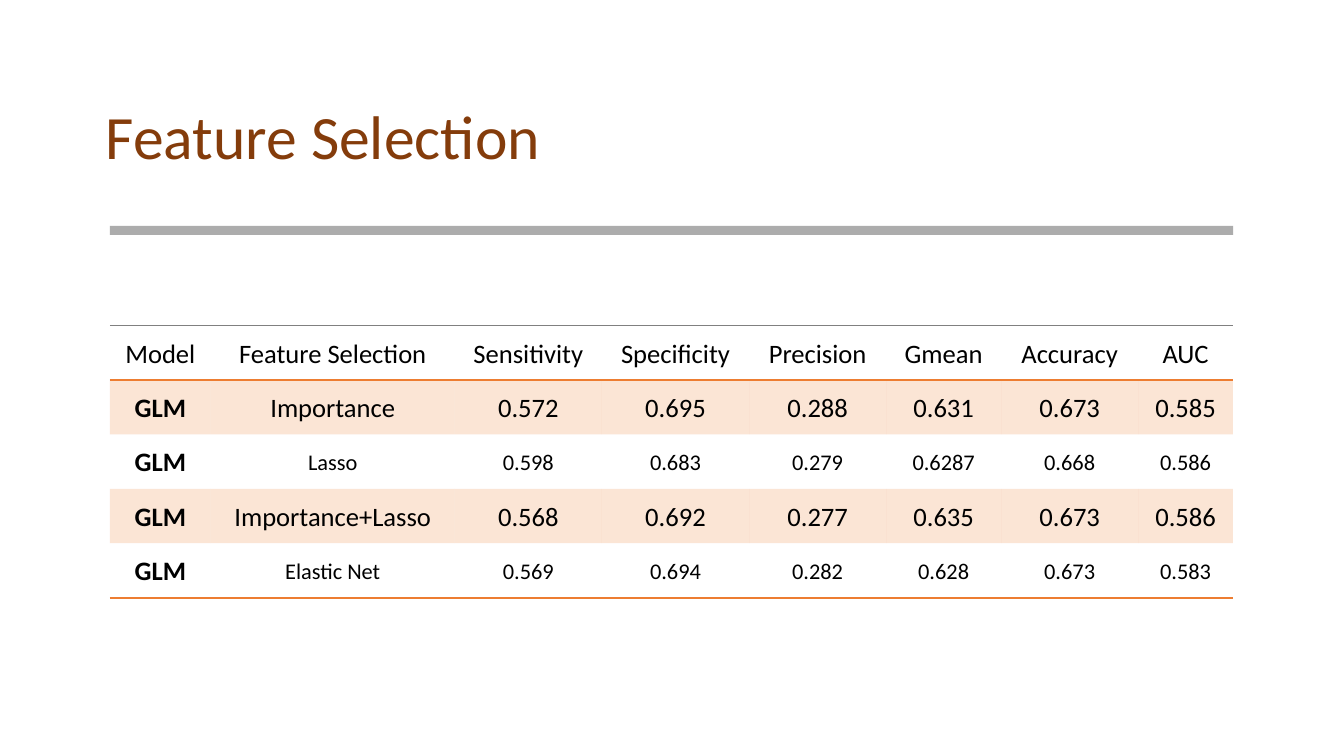
from lxml import etree
from pptx import Presentation
from pptx.dml.color import RGBColor
from pptx.enum import shapes, text
from pptx.oxml import ns
from pptx.util import Inches, Pt

TITLE = "Feature Selection"
ROWS = [
    ("Model", "Feature Selection", "Sensitivity", "Specificity",
     "Precision", "Gmean", "Accuracy", "AUC"),
    ("GLM", "Importance", "0.572", "0.695", "0.288", "0.631", "0.673", "0.585"),
    ("GLM", "Lasso", "0.598", "0.683", "0.279", "0.6287", "0.668", "0.586"),
    ("GLM", "Importance+Lasso", "0.568", "0.692", "0.277", "0.635", "0.673", "0.586"),
    ("GLM", "Elastic Net", "0.569", "0.694", "0.282", "0.628", "0.673", "0.583"),
]
WIDTHS = (1, 2.42, 1.46, 1.46, 1.36, 1.14, 1.36, 0.94)
LEFT, WIDE, HIGH = 1.09, 11.14, 0.54
FACE = "Calibri"
PLAIN = "{2D5ABB26-0587-4C30-8999-92F81FD0307C}"
BROWN = RGBColor(0x84, 0x3C, 0x0B)
GRAY = RGBColor(0x80, 0x80, 0x80)
ORANGE = RGBColor(0xED, 0x7D, 0x31)
BLACK = RGBColor(0, 0, 0)
EDGES = {0: (("lnT", GRAY, 0.75), ("lnB", ORANGE, 1)),
         len(ROWS) - 1: (("lnB", ORANGE, 1.5),)}


def style(item, **values):
    """Set each named value on an item."""
    for name, value in values.items():
        setattr(item, name, value)


def tint(fill, props, color, alpha):
    """Fill with a partly transparent colour."""
    fill.solid()
    fill.fore_color.rgb = color
    shade = props.find(ns.qn("a:solidFill")).find(ns.qn("a:srgbClr"))
    etree.SubElement(shade, ns.qn("a:alpha"), val=str(alpha * 1000))


def border(props, tag, color, width):
    """Draw one side of a cell."""
    line = etree.SubElement(props, ns.qn("a:" + tag), w=str(Pt(width)))
    solid = etree.SubElement(line, ns.qn("a:solidFill"))
    etree.SubElement(solid, ns.qn("a:srgbClr"), val=str(color))


def draw_cell(cell, words, row, col):
    """Write and format one table cell."""
    cell.text = words
    head, band, model = row == 0, row % 2 == 1, col == 0
    anchor = text.MSO_ANCHOR.BOTTOM if head else text.MSO_ANCHOR.MIDDLE
    style(cell, vertical_anchor=anchor,
          margin_left=Inches(0.08), margin_right=Inches(0.08),
          margin_top=Inches(0.09), margin_bottom=Inches(0.09))
    para = cell.text_frame.paragraphs[0]
    style(para, alignment=text.PP_ALIGN.CENTER, line_spacing=1.07)
    style(para.runs[0].font, name=FACE, bold=model and not head,
          size=Pt(19 if head or band or model else 16))
    para.runs[0].font.color.rgb = BLACK
    props = cell._tc.get_or_add_tcPr()
    for edge in EDGES.get(row, ()):
        border(props, *edge)
    if band:
        tint(cell.fill, props, ORANGE, 20)
    else:
        cell.fill.background()


def main():
    """Build the slide and save it."""
    deck = Presentation()
    style(deck, slide_width=Inches(13.33), slide_height=Inches(7.5))
    slide = deck.slides.add_slide(deck.slide_layouts[5])

    title = slide.shapes.title
    style(title, left=Inches(0.95), top=Inches(0.66),
          width=Inches(11.43), height=Inches(1.45))
    title.text = TITLE
    title.text_frame.vertical_anchor = text.MSO_ANCHOR.MIDDLE
    para = title.text_frame.paragraphs[0]
    style(para, alignment=text.PP_ALIGN.LEFT, line_spacing=0.9)
    style(para.runs[0].font, name=FACE, size=Pt(44))
    para.runs[0].font.color.rgb = BROWN

    bar = slide.shapes.add_shape(shapes.MSO_SHAPE.RECTANGLE, Inches(LEFT),
                                 Inches(2.24), Inches(WIDE), Inches(0.09))
    bar.shadow.inherit = False
    bar.line.fill.background()
    tint(bar.fill, bar.element.spPr, GRAY, 65)

    frame = slide.shapes.add_table(
        len(ROWS), len(WIDTHS), Inches(LEFT), Inches(3.23),
        Inches(WIDE), Inches(HIGH * len(ROWS)))
    next(frame.element.iter(ns.qn("a:tableStyleId"))).text = PLAIN
    table = frame.table
    style(table, first_row=False, horz_banding=False)
    for col, width in enumerate(WIDTHS):
        table.columns[col].width = Inches(width)
    for row, line in enumerate(ROWS):
        table.rows[row].height = Inches(HIGH)
        for col, words in enumerate(line):
            draw_cell(table.cell(row, col), words, row, col)

    deck.save("out.pptx")


if __name__ == "__main__":
    main()
